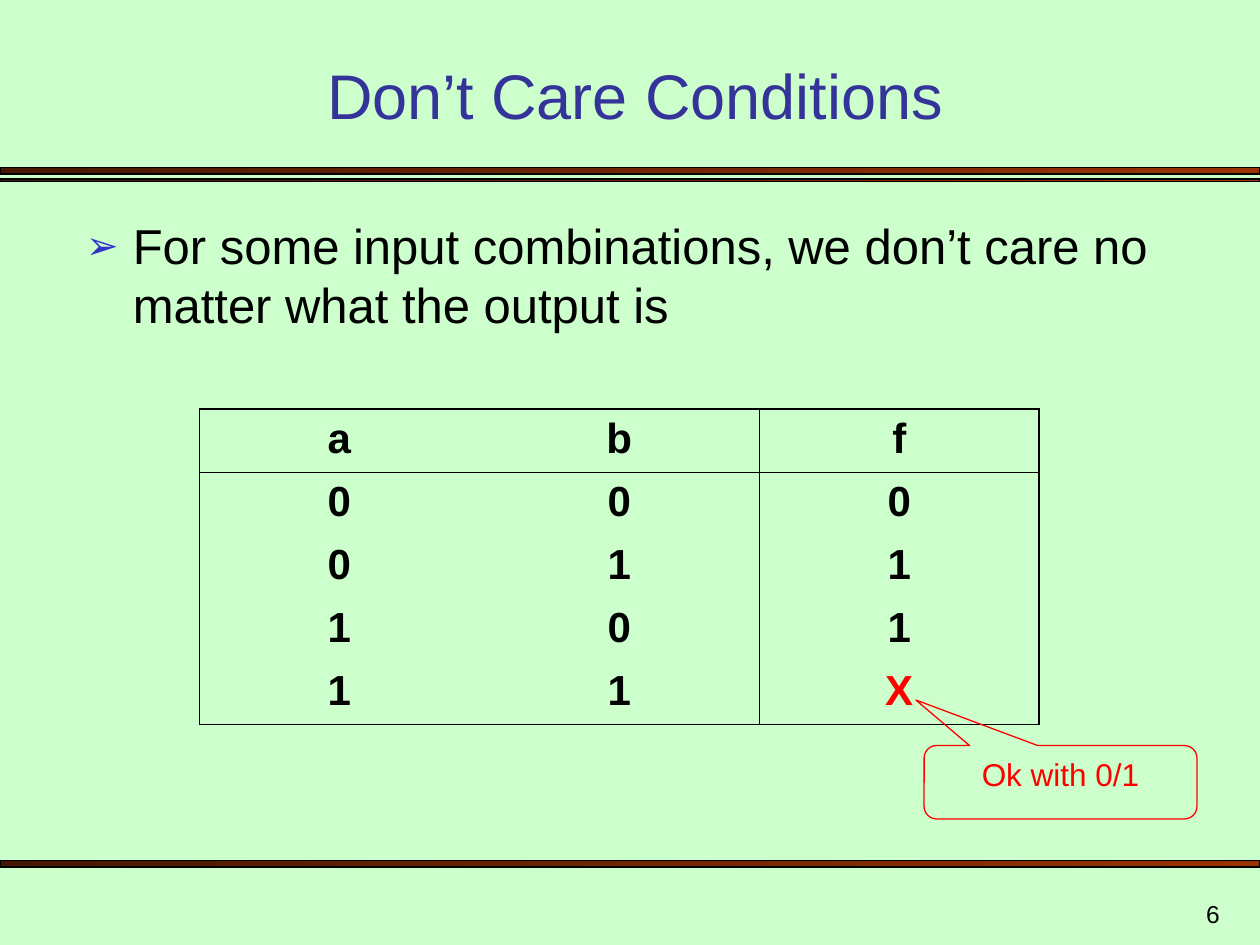
from dataclasses import dataclass

from lxml.etree import SubElement
from pptx import Presentation
from pptx.dml.color import RGBColor
from pptx.enum.shapes import MSO_SHAPE
from pptx.enum.text import MSO_ANCHOR, PP_ALIGN
from pptx.oxml.ns import qn
from pptx.shapes.autoshape import Shape
from pptx.slide import Slide
from pptx.table import _Cell
from pptx.text.text import TextFrame, _Paragraph
from pptx.util import Cm, Pt

MINT = RGBColor(0xCC, 0xFF, 0xCC)
INDIGO = RGBColor(0x33, 0x33, 0x99)
BLUE = RGBColor(0x33, 0x33, 0xCC)
BLACK = RGBColor(0x00, 0x00, 0x00)
RED = RGBColor(0xFF, 0x00, 0x00)
DARK_BROWN = RGBColor(0x46, 0x17, 0x00)
BROWN = RGBColor(0x99, 0x33, 0x00)

FONT = "Arial"
OUTER = 1.08
INNER = 0.45
SLIDE_WIDTH = 25.4
TRUTH_TABLE = ("abf", "000", "011", "101", "11X")
ROW_HEIGHT = 1.27


@dataclass(frozen=True)
class Box:
    left: float
    top: float
    width: float
    height: float

    def lengths(self) -> tuple[Cm, Cm, Cm, Cm]:
        return Cm(self.left), Cm(self.top), Cm(self.width), Cm(self.height)


@dataclass(frozen=True)
class Style:
    size: float
    color: RGBColor = BLACK
    align: PP_ALIGN = PP_ALIGN.CENTER
    bold: bool = False


RULES = (
    Box(0, 3.38, SLIDE_WIDTH, 0.13),
    Box(0, 3.61, SLIDE_WIDTH, 0.05),
    Box(0, 17.35, SLIDE_WIDTH, 0.13),
)


def write(frame: TextFrame, words: str, style: Style) -> _Paragraph:
    paragraph = frame.paragraphs[0]
    paragraph.alignment = style.align
    run = paragraph.add_run()
    run.text = words
    run.font.name = FONT
    run.font.size = Pt(style.size)
    run.font.bold = style.bold
    run.font.color.rgb = style.color
    return paragraph


def add_text(slide: Slide, box: Box, words: str, style: Style,
             anchor: MSO_ANCHOR = MSO_ANCHOR.BOTTOM) -> _Paragraph:
    frame = slide.shapes.add_textbox(*box.lengths()).text_frame
    frame.word_wrap = True
    frame.vertical_anchor = anchor
    return write(frame, words, style)


def add_outlined(slide: Slide, kind: MSO_SHAPE, box: Box, line: RGBColor) -> Shape:
    shape = slide.shapes.add_shape(kind, *box.lengths())
    shape.shadow.inherit = False
    shape.line.color.rgb = line
    shape.line.width = Pt(0.75)
    return shape


def add_rule(slide: Slide, box: Box) -> None:
    fill = add_outlined(slide, MSO_SHAPE.RECTANGLE, box, BLACK).fill
    fill.gradient()
    fill.gradient_angle = 0
    for stop, color in zip(fill.gradient_stops, (DARK_BROWN, BROWN)):
        stop.color.rgb = color


def add_bullet(paragraph: _Paragraph) -> None:
    properties = paragraph._p.get_or_add_pPr()
    properties.set("marL", str(Cm(0.95)))
    properties.set("indent", str(-Cm(0.95)))
    color = SubElement(properties, qn("a:buClr"))
    SubElement(color, qn("a:srgbClr"), val=str(BLUE))
    SubElement(properties, qn("a:buSzPct"), val="80000")
    SubElement(properties, qn("a:buFont"), typeface=FONT)
    SubElement(properties, qn("a:buChar"), char="➢")


def set_borders(cell: _Cell, widths: dict[str, float]) -> None:
    properties = cell._tc.get_or_add_tcPr()
    for side, width in widths.items():
        edge = SubElement(properties, qn(f"a:ln{side}"), w=str(Pt(width)))
        if width:
            fill = SubElement(edge, qn("a:solidFill"))
            SubElement(fill, qn("a:srgbClr"), val=str(BLACK))
        else:
            SubElement(edge, qn("a:noFill"))


def add_truth_table(slide: Slide, box: Box) -> None:
    last_row = len(TRUTH_TABLE) - 1
    table = slide.shapes.add_table(
        len(TRUTH_TABLE), len(TRUTH_TABLE[0]), *box.lengths()).table
    table.first_row = False
    table.horz_banding = False
    for row, values in enumerate(TRUTH_TABLE):
        for column, value in enumerate(values):
            cell = table.cell(row, column)
            set_borders(cell, {
                "L": (OUTER, 0, INNER)[column],
                "R": (0, INNER, OUTER)[column],
                "T": {0: OUTER, 1: INNER}.get(row, 0),
                "B": {0: INNER, last_row: OUTER}.get(row, 0),
            })
            cell.fill.background()
            color = RED if value == "X" else BLACK
            paragraph = write(cell.text_frame, value, Style(24, color, bold=True))
            paragraph.space_before = Pt(6)


def add_callout(slide: Slide, box: Box, words: str) -> None:
    callout = add_outlined(slide, MSO_SHAPE.ROUNDED_RECTANGULAR_CALLOUT, box, RED)
    callout.fill.background()
    for index, value in enumerate((-0.53, -1.12, 0.17)):
        callout.adjustments[index] = value
    callout.text_frame.word_wrap = True
    callout.text_frame.vertical_anchor = MSO_ANCHOR.TOP
    write(callout.text_frame, words, Style(18, RED))


def main() -> None:
    presentation = Presentation()
    presentation.slide_width = Cm(SLIDE_WIDTH)
    presentation.slide_height = Cm(19.05)
    slide = presentation.slides.add_slide(presentation.slide_layouts[6])
    slide.background.fill.solid()
    slide.background.fill.fore_color.rgb = MINT

    for rule in RULES:
        add_rule(slide, rule)
    add_text(slide, Box(1.48, 1.06, 22.65, 1.73),
             "Don’t Care Conditions", Style(36, INDIGO))
    statement = add_text(
        slide, Box(1.48, 4.23, 22.23, 3.18),
        "For some input combinations, we don’t care no matter what the output is",
        Style(28, align=PP_ALIGN.LEFT), MSO_ANCHOR.TOP)
    statement.space_before = Pt(7)
    add_bullet(statement)
    add_truth_table(slide, Box(4.02, 8.25, 16.93, ROW_HEIGHT * len(TRUTH_TABLE)))
    add_callout(slide, Box(18.63, 15.03, 5.5, 1.48), "Ok with 0/1")
    add_text(slide, Box(19.56, 17.78, 5.28, 1.06),
             "6", Style(14, align=PP_ALIGN.RIGHT))
    presentation.save("out.pptx")


if __name__ == "__main__":
    main()
